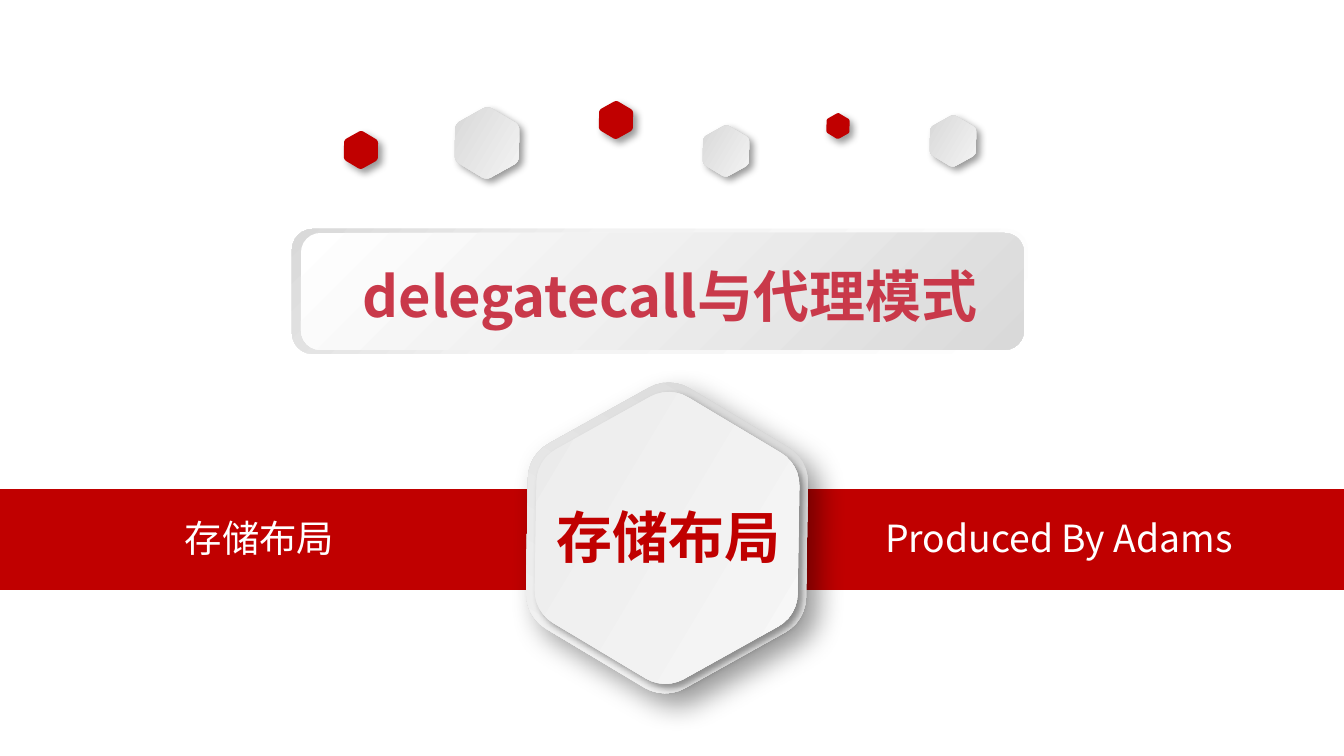
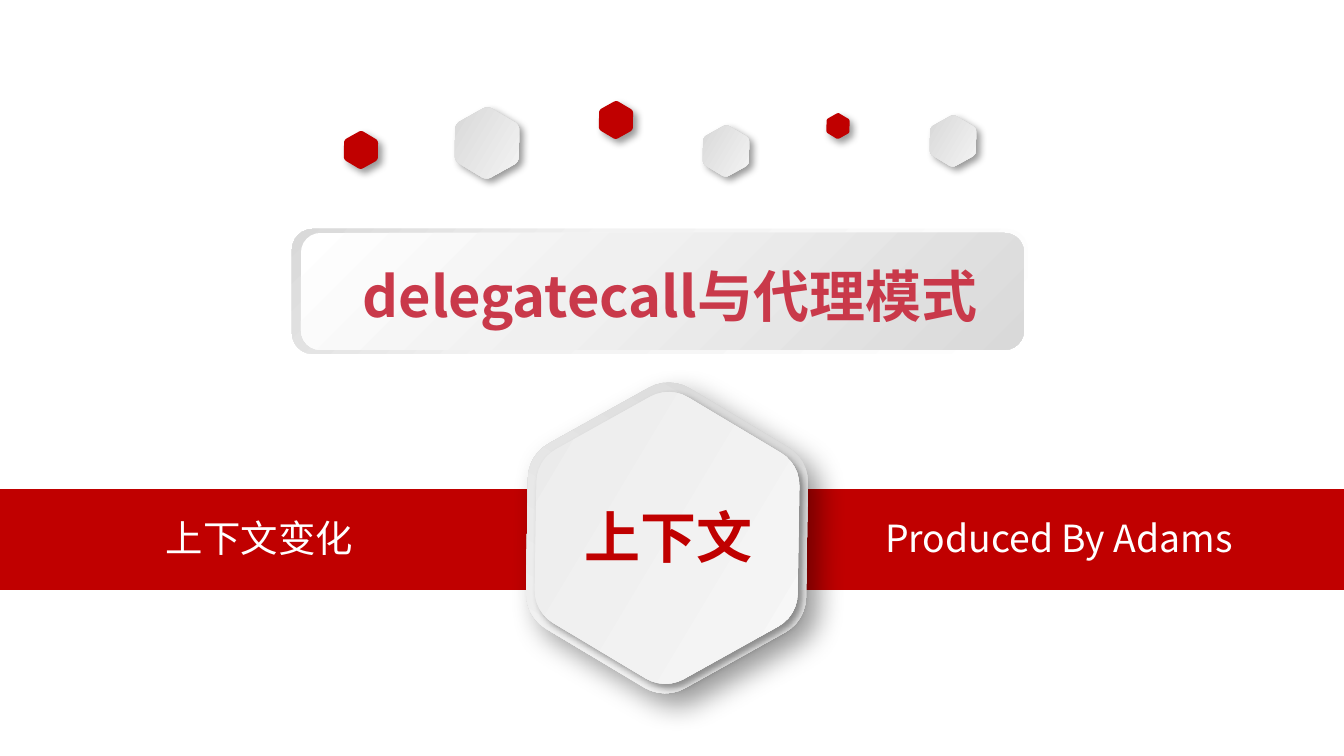
import math
from lxml import etree
from pptx import Presentation, util as u
from pptx.dml.color import RGBColor
from pptx.enum import shapes, text
from pptx.oxml.ns import qn

PX = 914400 / 134.4
FONT = "Noto Sans CJK SC"
RED = RGBColor(0xC0, 0x00, 0x00)
ROSE = RGBColor(0xC9, 0x39, 0x4A)
WHITE = RGBColor(0xFF, 0xFF, 0xFF)
PALE = RGBColor(0xF9, 0xF9, 0xF9)
MIST = RGBColor(0xE9, 0xE9, 0xE9)
SNOW = RGBColor(0xF2, 0xF2, 0xF2)
FOG = RGBColor(0xF0, 0xF0, 0xF0)
ASH = RGBColor(0xD9, 0xD9, 0xD9)
GREY = RGBColor(0xD3, 0xD3, 0xD3)
BLACK = RGBColor(0, 0, 0)

SILVER = [(0, GREY), (100, PALE)]
GLOW = [(0, MIST), (100, PALE)]
SOFT = (4, 3)
DEEP = (15, 9)

# Hexagons: centre x, centre y, height, fill, gradient angle, shadow
HEXES = [
    (487, 143, 64, SILVER, 0, SOFT),
    (616, 120, 34, RED, 0, SOFT),
    (361, 150, 34, RED, 0, SOFT),
    (726, 151, 46, SILVER, 0, SOFT),
    (838, 126, 23, RED, 0, SOFT),
    (953, 141, 46, SILVER, 0, SOFT),
    (667, 538, 280, SILVER, 270, DEEP),
    (667, 538, 263, GLOW, 0, SOFT),
]

# Title plates: left, top, width, height, gradient, angle
PLATES = [
    (292, 229, 736, 125, [(0, WHITE), (62, SNOW), (100, ASH)], 135),
    (301, 233, 723, 117, [(0, WHITE), (42, FOG), (100, ASH)], 315),
]

# Slides: band text, hexagon label
PAGES = [("存储布局", "存储布局"), ("上下文变化", "上下文")]


def paint(shape, fill, angle=0, shadow=None):
    """Fill with a colour or gradient stops, drop the line, set the shadow."""
    shape.line.fill.background()
    shape.shadow.inherit = False
    if isinstance(fill, RGBColor):
        shape.fill.solid()
        shape.fill.fore_color.rgb = fill
    elif fill:
        shape.fill.gradient()
        shape.fill.gradient_angle = angle
        stops = shape.element.spPr.find(".//" + qn("a:gsLst"))
        stops.clear()
        for pos, tone in fill:
            stop = etree.SubElement(stops, qn("a:gs"), pos=str(pos * 1000))
            etree.SubElement(stop, qn("a:srgbClr"), val=str(tone))
    else:
        shape.fill.background()
    if shadow:
        add_shade(shape.element.spPr.find(qn("a:effectLst")), *shadow)


def add_shade(effects, blur, dist):
    """Put a black shadow at 45 degrees into an effect list."""
    shade = etree.SubElement(
        effects, qn("a:outerShdw"), blurRad=str(u.Pt(blur)), dist=str(u.Pt(dist)),
        dir="2700000", algn="tl", rotWithShape="0")
    tone = etree.SubElement(shade, qn("a:srgbClr"), val=str(BLACK))
    etree.SubElement(tone, qn("a:alpha"), val="40000")


deck = Presentation()
deck.slide_width, deck.slide_height = round(1344 * PX), round(756 * PX)

for topic, label in PAGES:
    slide = deck.slides.add_slide(deck.slide_layouts[6])
    parts = slide.shapes

    # Red band
    band = parts.add_shape(shapes.MSO_SHAPE.RECTANGLE,
                           0, round(489 * PX), deck.slide_width, round(101 * PX))
    paint(band, RED)

    # Hexagons with rounded corners
    for x, y, high, fill, angle, shadow in HEXES:
        side = high / math.sqrt(3)
        bend = side / 4
        reach = side - bend / math.cos(math.radians(30))
        dots = []
        for turn in range(0, 360, 60):
            for step in range(-30, 31, 10):
                mid, arc = math.radians(turn), math.radians(turn + step)
                dots.append(
                    (round((x + reach * math.cos(mid) + bend * math.cos(arc)) * PX),
                     round((y + reach * math.sin(mid) + bend * math.sin(arc)) * PX)))
        pen = parts.build_freeform(*dots[0])
        pen.add_line_segments(dots[1:], close=True)
        hexa = pen.convert_to_shape()
        hexa.rotation = 30.9
        paint(hexa, fill, angle, shadow)

    # Title plates
    for *box, fill, angle in PLATES:
        plate = parts.add_shape(shapes.MSO_SHAPE.ROUNDED_RECTANGLE,
                                *[round(v * PX) for v in box])
        paint(plate, fill, angle)

    # Texts: box, words, size, colour, bold, alignment
    for box, words, size, tone, bold, align in [
        ((23, 509, 473, 59), topic, 20, WHITE, False, text.PP_ALIGN.CENTER),
        ((872, 509, 470, 59), "Produced By Adams", 20, WHITE, False, text.PP_ALIGN.LEFT),
        ((302, 255, 736, 81), "delegatecall与代理模式", 30, ROSE, True, text.PP_ALIGN.CENTER),
        ((536, 503, 265, 67), label, 30, RED, True, text.PP_ALIGN.CENTER),
    ]:
        spot = [round(v * PX) for v in box]
        badge = tone == RED
        if badge:
            item = parts.add_shape(shapes.MSO_SHAPE.ROUNDED_RECTANGLE, *spot)
            paint(item, None)
        else:
            item = parts.add_textbox(*spot)
        frame = item.text_frame
        frame.text = words
        frame.word_wrap = True
        if badge:
            frame.vertical_anchor = text.MSO_ANCHOR.MIDDLE
        else:
            frame.auto_size = text.MSO_AUTO_SIZE.SHAPE_TO_FIT_TEXT
        para = frame.paragraphs[0]
        para.alignment = align
        for run in para.runs:
            font = run.font
            font.size, font.bold, font.name = u.Pt(size), bold, FONT
            font.color.rgb = tone
            latin = run._r.rPr.find(qn("a:latin"))
            latin.addnext(etree.Element(qn("a:ea"), typeface=FONT))
            if badge:
                glow = etree.Element(qn("a:effectLst"))
                latin.addprevious(glow)
                add_shade(glow, *SOFT)

deck.save("out.pptx")
